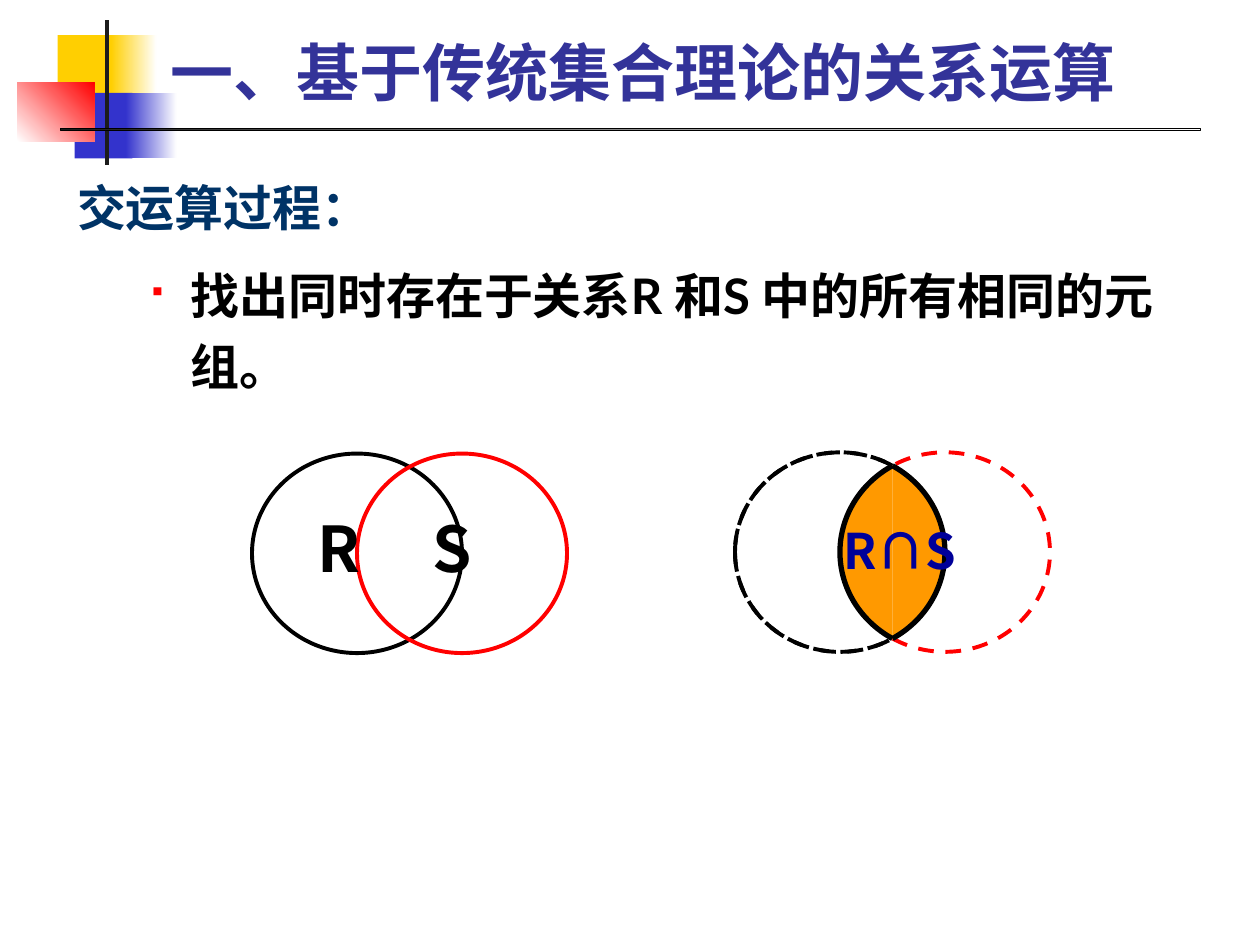
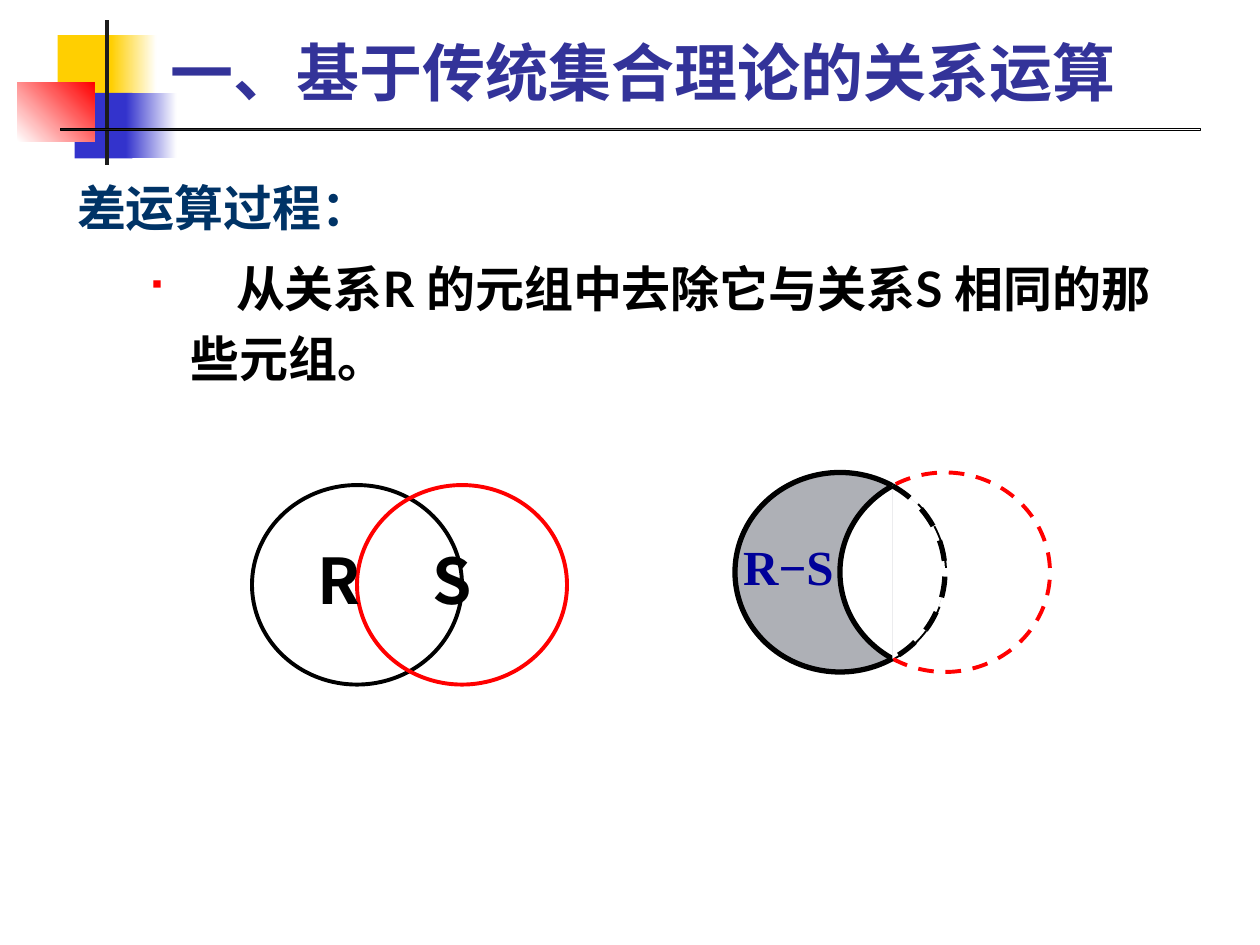
import math

from lxml import etree
from pptx import Presentation
from pptx.dml.color import RGBColor
from pptx.enum import dml, shapes, text
from pptx.oxml import ns
from pptx.util import Pt

# Shared look
TITLE = "一、基于传统集合理论的关系运算"
BODY_FONT, LABEL_FONT = "Lato", "Noto Sans CJK SC"
YELLOW, BLUE, RED = "FFCF01", "3333CC", "FF0000"
BLACK, WHITE, CHARCOAL = "000000", "FFFFFF", "1C1C1C"
TITLE_BLUE, HEADING_BLUE, LABEL_BLUE = "333399", "003366", "000099"
ORANGE, GREY = "FF9900", "AEB0B6"

# Circles of the set diagrams: S sits one radius to the right of R
RADIUS_X, RADIUS_Y = 60, 57
# Arcs between the crossings, in degrees clockwise from the right
R_OUTER, R_INNER, S_INNER = (-60, -300), (-60, 60), (240, 120)


def color(value):
    return RGBColor.from_string(value)


def style(shape, fill=None, line=None, width=2.25, dashed=False):
    shape.shadow.inherit = False
    if fill is None:
        shape.fill.background()
    elif isinstance(fill, tuple):
        start, end, angle = fill
        shape.fill.gradient()
        shape.fill.gradient_angle = angle
        for stop, value in zip(shape.fill.gradient_stops, (start, end)):
            stop.color.rgb = color(value)
    else:
        shape.fill.solid()
        shape.fill.fore_color.rgb = color(fill)
    if line is None:
        shape.line.fill.background()
    else:
        shape.line.color.rgb = color(line)
        shape.line.width = Pt(width)
        if dashed:
            shape.line.dash_style = dml.MSO_LINE.DASH


def add_preset(slide, kind, box, **look):
    shape = slide.shapes.add_shape(kind, *map(Pt, box))
    style(shape, **look)


def add_run(paragraph, words, size, value, font=BODY_FONT):
    run = paragraph.add_run()
    run.text = words
    run.font.size = Pt(size)
    run.font.bold = True
    run.font.name = font
    run.font.color.rgb = color(value)
    east_asian = etree.SubElement(run._r.get_or_add_rPr(), ns.qn("a:ea"))
    east_asian.set("typeface", font)


def add_properties(paragraph, *elements):
    properties = paragraph._p.get_or_add_pPr()
    for tag, attributes in elements:
        etree.SubElement(properties, ns.qn(tag), attributes)
    return properties


def add_label(slide, box, words, size, value, font=LABEL_FONT, inset=7.2, tab=None):
    frame = slide.shapes.add_textbox(*map(Pt, box)).text_frame
    frame.word_wrap = True
    frame.vertical_anchor = text.MSO_ANCHOR.MIDDLE
    frame.margin_left = Pt(inset)
    paragraph = frame.paragraphs[0]
    if tab:
        tabs = add_properties(paragraph, ("a:tabLst", {}))[-1]
        etree.SubElement(tabs, ns.qn("a:tab"), {"pos": str(Pt(tab)), "algn": "l"})
    add_run(paragraph, words, size, value, font)


# Corner ornament and rule
def add_ornament(slide):
    bars = [
        ((33, 20, 34.5, 37.5), YELLOW),
        ((63.5, 20, 26, 37.5), (YELLOW, WHITE, 0)),
        ((42.7, 53, 33, 37.5), BLUE),
        ((72, 53, 29, 37.5), (BLUE, WHITE, 0)),
        ((10, 47.2, 44, 33.6), (WHITE, RED, 45)),
        ((60, 11.5, 2.3, 82.8), CHARCOAL),
    ]
    rectangle = shapes.MSO_SHAPE.RECTANGLE
    for box, fill in bars:
        add_preset(slide, rectangle, box, fill=fill)
    add_preset(slide, rectangle, (34.6, 73.6, 651.6, 1.1),
               fill=(CHARCOAL, WHITE, 0), line=BLACK, width=0.75)


def add_title(slide, box):
    title = slide.shapes.title
    title.left, title.top, title.width, title.height = map(Pt, box)
    frame = title.text_frame
    frame.auto_size = text.MSO_AUTO_SIZE.NONE
    frame.vertical_anchor = text.MSO_ANCHOR.BOTTOM
    paragraph = frame.paragraphs[0]
    paragraph.alignment = text.PP_ALIGN.LEFT
    add_run(paragraph, TITLE, 36, TITLE_BLUE)


# Heading with one bulleted explanation
def add_explanation(slide, box, heading, explanation, gap, lead):
    frame = slide.shapes.add_textbox(*map(Pt, box)).text_frame
    frame.word_wrap = True
    first, bullet = frame.paragraphs[0], frame.add_paragraph()
    bullet.level = 1
    properties = add_properties(
        bullet,
        ("a:buClr", {}),
        ("a:buSzPct", {"val": "55000"}),
        ("a:buFont", {"typeface": "Wingdings", "charset": "2"}),
        ("a:buChar", {"char": "§"}),
    )
    etree.SubElement(properties[0], ns.qn("a:srgbClr"), {"val": RED})
    properties.set("marL", str(Pt(64.8)))
    properties.set("indent", str(Pt(-22.3)))
    bullet.space_before = Pt(gap)
    first.line_spacing = bullet.line_spacing = 1.2
    add_run(first, heading, 28, HEADING_BLUE)
    if lead:
        add_run(bullet, lead, 26, BLACK)
    add_run(bullet, explanation, 28, BLACK)


# Set diagrams
def add_circle(slide, left, top, line, fill=None, dashed=False):
    add_preset(slide, shapes.MSO_SHAPE.OVAL, (left, top, 2 * RADIUS_X, 2 * RADIUS_Y),
               fill=fill, line=line, dashed=dashed)


def arc_points(left, top, start, end):
    """Start point, then three Bezier points for each piece of the arc."""
    pieces = math.ceil(abs(end - start) / 90)
    step = math.radians(end - start) / pieces
    reach = 4 / 3 * math.tan(step / 4)

    def point(angle, pull=0):
        x = math.cos(angle) - pull * math.sin(angle)
        y = math.sin(angle) + pull * math.cos(angle)
        return Pt(left + RADIUS_X * (1 + x)), Pt(top + RADIUS_Y * (1 + y))

    points = [point(math.radians(start))]
    for piece in range(pieces):
        begin = math.radians(start) + piece * step
        finish = begin + step
        points += [point(begin, reach), point(finish, -reach), point(finish)]
    return points


def add_arc(slide, left, top, angles, width=3, **look):
    points = arc_points(left, top, *angles)
    builder = slide.shapes.build_freeform(*points[0], scale=1.0)
    builder.add_line_segments(points[1:], close=False)
    shape = builder.convert_to_shape()
    # Turn each three straight segments into one curve
    segments = list(shape._element.iter(ns.qn("a:lnTo")))
    for index in range(0, len(segments), 3):
        curve = etree.Element(ns.qn("a:cubicBezTo"))
        segments[index].addprevious(curve)
        for segment in segments[index:index + 3]:
            curve.append(segment[0])
            segment.getparent().remove(segment)
    style(shape, line=BLACK, width=width, **look)


def add_operands(slide, left, top):
    add_circle(slide, left, top, BLACK)
    add_circle(slide, left + RADIUS_X, top, RED)
    add_label(slide, (left + 11.5, top + 28.6, 147.5, 50.4), "R\tS", 36, BLACK,
              inset=26.2, tab=65.4)


def add_intersection(slide, left, top):
    s_left = left + RADIUS_X
    add_circle(slide, left, top, BLACK, dashed=True)
    add_circle(slide, s_left, top, RED, dashed=True)
    add_arc(slide, left, top, R_OUTER, width=2.25, dashed=True)
    add_arc(slide, s_left, top, S_INNER, fill=ORANGE)
    add_arc(slide, left, top, R_INNER, fill=ORANGE)
    add_label(slide, (left + 55, top + 35, 79, 41), "R∩S", 28, LABEL_BLUE)


def add_difference(slide, left, top):
    s_left = left + RADIUS_X
    add_circle(slide, left, top, BLACK, fill=GREY, dashed=True)
    add_circle(slide, s_left, top, RED, dashed=True)
    add_arc(slide, left, top, R_OUTER)
    add_arc(slide, s_left, top, S_INNER, fill=WHITE)
    add_arc(slide, left, top, R_INNER, fill=WHITE, dashed=True)
    add_label(slide, (left - 2.4, top + 33, 90, 41), "R−S", 28, LABEL_BLUE,
              font="Times New Roman")


def add_operation_slide(presentation, heading, explanation, gap,
                        operands_top, add_result, result_top, lead=""):
    slide = presentation.slides.add_slide(presentation.slide_layouts[5])
    add_ornament(slide)
    add_title(slide, (90.3, 16.9, 613.5, 49))
    add_explanation(slide, (37, 91.4, 651, 144.7), heading, explanation, gap, lead)
    add_operands(slide, 144, operands_top)
    add_result(slide, 420, result_top)


def main():
    presentation = Presentation()
    presentation.slide_width, presentation.slide_height = Pt(720), Pt(540)
    add_operation_slide(presentation, "交运算过程：",
                        "找出同时存在于关系R 和S 中的所有相同的元组。",
                        9.8, 259.2, add_intersection, 258.5)
    add_operation_slide(presentation, "差运算过程：",
                        "从关系R 的元组中去除它与关系S 相同的那些元组。",
                        5.6, 277.2, add_difference, 270, lead="　")
    presentation.save("out.pptx")


if __name__ == "__main__":
    main()
